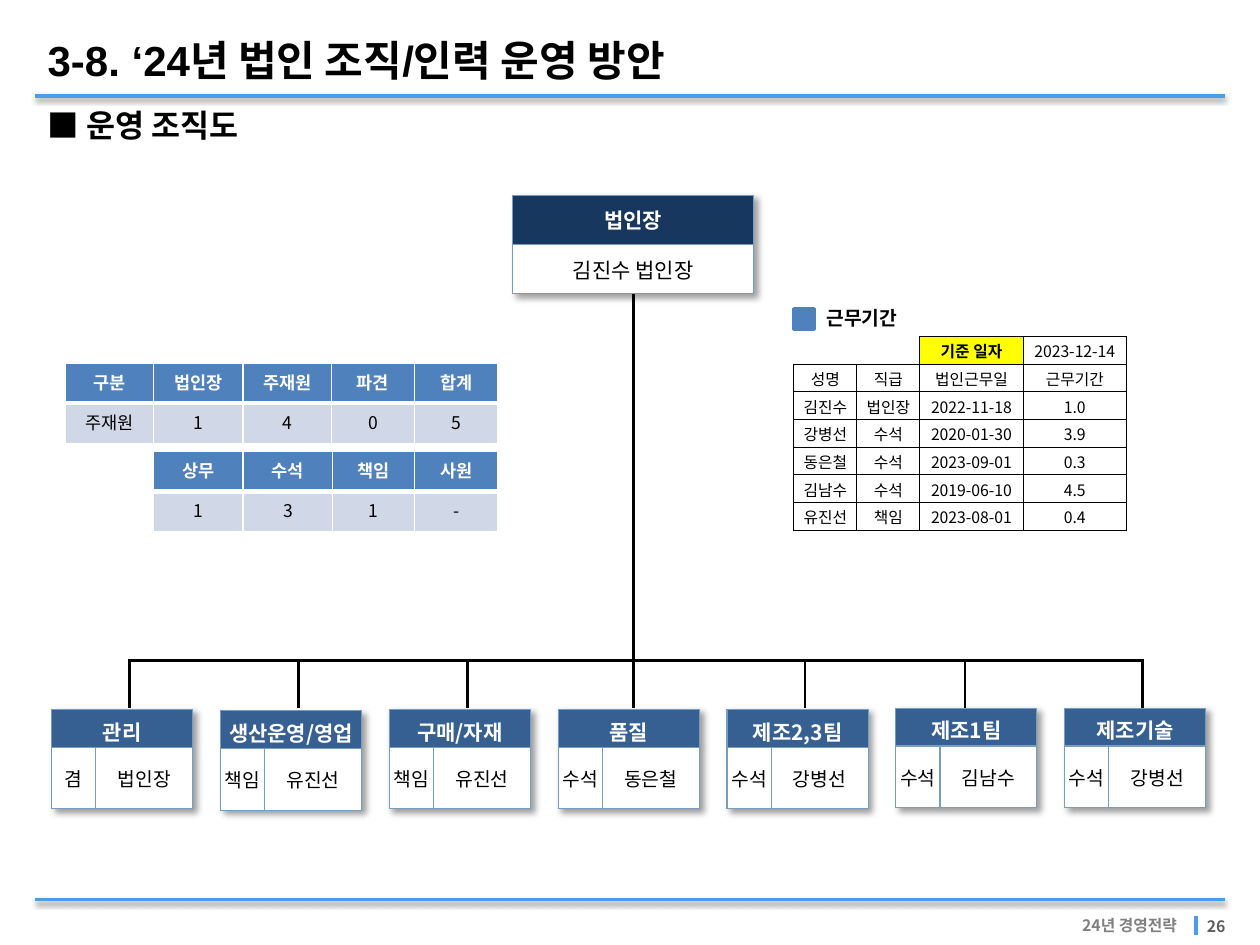
from dataclasses import dataclass
from typing import Any, Optional

import lxml.etree
import pptx
import pptx.dml.color
import pptx.enum.shapes
import pptx.enum.text
import pptx.oxml.ns
import pptx.util

Inches = pptx.util.Inches
Pt = pptx.util.Pt
qn = pptx.oxml.ns.qn
Align = pptx.enum.text.PP_ALIGN
Anchor = pptx.enum.text.MSO_ANCHOR


@dataclass(frozen=True)
class Theme:
    sans: str = "Arial"
    noto: str = "Noto Sans CJK KR"
    black: str = "000000"
    white: str = "FFFFFF"
    rule: str = "499DE9"
    blue: str = "4F81BD"
    pale: str = "D0D8E8"
    team: str = "376092"
    navy: str = "17375E"
    edge: str = "769EC2"
    mark: str = "FFFF00"
    gray: str = "808080"
    dark: str = "5F5F5F"
    title: float = 24
    head: float = 18
    box: float = 12
    name: float = 11
    stat: float = 10
    small: float = 9


T = Theme()


@dataclass(frozen=True)
class Style:
    size: float
    color: str = T.black
    bold: bool = False
    font: str = T.noto


@dataclass(frozen=True)
class Look:
    """Cell format; insets and edges run left, top, right, bottom."""
    style: Style
    fill: Optional[str] = None
    line: str = T.black
    edges: tuple = (0.5, 0.5, 0.5, 0.5)
    pad: tuple = (0.1, 0.05, 0.1, 0.05)
    anchor: Any = Anchor.MIDDLE


@dataclass(frozen=True)
class Team:
    name: str
    rank: str
    lead: str
    top: float
    drop: float


def assign(item: Any, vals: dict) -> None:
    for key, val in vals.items():
        setattr(item, key, val)


def rgb(code: str) -> Any:
    return pptx.dml.color.RGBColor.from_string(code)


def node(base: Any, tag: str, **attrs: Any) -> Any:
    return lxml.etree.SubElement(base, qn(tag), {k: str(v) for k, v in attrs.items()})


def margins(pad: tuple) -> dict:
    names = ("margin_left", "margin_top", "margin_right", "margin_bottom")
    return dict(zip(names, map(Inches, pad)))


def shade(base: Any, blur: float, dist: float, angle: int) -> None:
    cast = node(base, "a:outerShdw", blurRad=Pt(blur), dist=Pt(dist),
                dir=angle * 60000, algn="tl", rotWithShape=0)
    node(node(cast, "a:srgbClr", val=T.black), "a:alpha", val=38000)


def write(para: Any, text: str, style: Style) -> None:
    if not text:
        node(para._p, "a:endParaRPr", sz=int(style.size * 100))
        return
    run = para.add_run()
    run.text = text
    assign(run.font, {"size": Pt(style.size), "bold": style.bold, "name": style.font})
    run.font.color.rgb = rgb(style.color)
    node(run._r.get_or_add_rPr(), "a:ea", typeface=T.noto)


def label(shapes: Any, at: tuple, text: str, style: Style, pad: tuple = (0.1, 0.05, 0.1, 0.05),
          wrap: bool = True, space: float = 1.0, align: Any = Align.LEFT,
          anchor: Any = Anchor.MIDDLE) -> None:
    frame = shapes.add_textbox(*map(Inches, at)).text_frame
    assign(frame, {"word_wrap": wrap, "vertical_anchor": anchor, **margins(pad)})
    para = frame.paragraphs[0]
    assign(para, {"alignment": align, "line_spacing": space})
    write(para, text, style)


def stroke(shapes: Any, ends: tuple, color: str, width: float, shadow: bool = False) -> None:
    kind = pptx.enum.shapes.MSO_CONNECTOR.STRAIGHT
    line = shapes.add_connector(kind, *map(Inches, ends))
    line.line.color.rgb = rgb(color)
    line.line.width = Pt(width)
    fx = node(line._element.spPr, "a:effectLst")
    if shadow:
        shade(fx, 3.1, 1.6, 90)


def paint(cell: Any, text: str, look: Look) -> None:
    assign(cell, {"vertical_anchor": look.anchor, **margins(look.pad)})
    para = cell.text_frame.paragraphs[0]
    para.alignment = Align.CENTER
    write(para, text, look.style)
    if look.fill:
        cell.fill.solid()
        cell.fill.fore_color.rgb = rgb(look.fill)
    else:
        cell.fill.background()
    left, top, right, base = look.edges
    props = cell._tc.get_or_add_tcPr()
    for i, (side, width) in enumerate(zip("LRTB", (left, right, top, base))):
        edge = node(props, f"a:ln{side}", w=Pt(width))
        if width:
            node(node(edge, "a:solidFill"), "a:srgbClr", val=look.line)
        else:
            node(edge, "a:noFill")
        props.insert(i, edge)


def grid(shapes: Any, at: tuple, cols: tuple, rows: tuple, cells: list,
         shadow: bool = False) -> Any:
    """Draw rows of (text, look) pairs."""
    size = (sum(cols), sum(rows))
    table = shapes.add_table(len(rows), len(cols), *map(Inches, at + size)).table
    assign(table, {"first_row": False, "horz_banding": False})
    for col, width in zip(table.columns, cols):
        col.width = Inches(width)
    for row, tall, line in zip(table.rows, rows, cells):
        row.height = Inches(tall)
        for cell, (text, look) in zip(row.cells, line):
            paint(cell, text, look)
    if shadow:
        props = table._tbl.tblPr
        fx = node(props, "a:effectLst")
        props.insert(0, fx)
        shade(fx, 4, 3, 45)
    return table


# Cell looks
THIN = (0.75,) * 4
SLIM = (0.02, 0.05, 0.02, 0.05)
TIGHT = (0.01, 0.01, 0.01, 0)
STAT = Look(Style(T.stat, T.white, True), T.blue, T.white, (1, 1, 1, 3), anchor=Anchor.TOP)
COUNT = Look(Style(T.stat), T.pale, T.white, (1, 3, 1, 1), anchor=Anchor.TOP)
UNIT = Look(Style(T.box, T.white, True), T.team, T.edge, THIN, SLIM)
RANK = Look(Style(T.name), T.white, T.edge, THIN, SLIM)
LEAD = Look(Style(T.name), T.white, T.edge, THIN, (0.02,) * 4)
CHIEF = Look(Style(T.box, T.white, True, T.sans), T.navy, T.edge, THIN)
HEAD = Look(Style(T.box, font=T.sans), T.white, T.edge, THIN)
TERM = Look(Style(T.small), pad=TIGHT)
BASE = Look(Style(T.small, bold=True), T.mark, pad=TIGHT)
VOID = Look(Style(T.small), edges=(0, 0, 0, 0.5), pad=TIGHT)
VEND = Look(Style(T.small), edges=(0, 0, 0.5, 0.5), pad=TIGHT)

TEAMS = [
    Team("관리", "겸", "법인장", 5.63, 1.03),
    Team("생산운영/영업", "책임", "유진선", 5.64, 2.37),
    Team("구매/자재", "책임", "유진선", 5.63, 3.71),
    Team("품질", "수석", "동은철", 5.63, 5.03),
    Team("제조2,3팀", "수석", "강병선", 5.63, 6.39),
    Team("제조1팀", "수석", "김남수", 5.62, 7.66),
    Team("제조기술", "수석", "강병선", 5.62, 9.07),
]
STATS = [
    ((0.52, 2.88), (0.7, 0.71, 0.7, 0.66, 0.66),
     ("구분", "법인장", "주재원", "파견", "합계"), ("주재원", "1", "4", "0", "5")),
    ((1.22, 3.58), (0.71, 0.71, 0.65, 0.66),
     ("상무", "수석", "책임", "사원"), ("1", "3", "1", "-")),
]
TERMS = [
    ("성명", "직급", "법인근무일", "근무기간"),
    ("김진수", "법인장", "2022-11-18", "1.0"),
    ("강병선", "수석", "2020-01-30", "3.9"),
    ("동은철", "수석", "2023-09-01", "0.3"),
    ("김남수", "수석", "2019-06-10", "4.5"),
    ("유진선", "책임", "2023-08-01", "0.4"),
]


def main() -> None:
    deck = pptx.Presentation()
    assign(deck, {"slide_width": Inches(10), "slide_height": Inches(7.5)})
    shapes = deck.slides.add_slide(deck.slide_layouts[6]).shapes

    # Rules and footer
    for y in (0.76, 7.14):
        stroke(shapes, (9.72, y, 0.28, y), T.rule, 2, True)
    label(shapes, (9.48, 7.27, 0.44, 0.2), "26", Style(T.small, T.dark, True), space=0.6)
    label(shapes, (8.43, 7.22, 1.16, 0.25), "24년 경영전략", Style(T.small, T.gray, True),
          pad=(0, 0.05, 0.25, 0.05), align=Align.RIGHT)
    stroke(shapes, (9.49, 7.27, 9.49, 7.42), T.rule, 2.25)

    # Headings
    for y, text, size in ((0.28, "3-8. ‘24년 법인 조직/인력 운영 방안", T.title),
                          (0.79, "■ 운영 조직도", T.head)):
        label(shapes, (0.28, y, 6.54, 0.45), text, Style(size, bold=True, font=T.sans),
              space=0.85)

    # Tree lines
    tree = shapes.add_group_shape().shapes
    stroke(tree, (1.03, 5.24, 9.07, 5.24), T.black, 1.5)
    stroke(tree, (5.03, 1.94, 5.03, 5.59), T.black, 1.5)
    for team in TEAMS:
        stroke(tree, (team.drop, 5.23, team.drop, 5.62), T.black, 1.5)

    # Head of the company and teams
    grid(shapes, (4.07, 1.55), (1.91,), (0.39, 0.39),
         [[("법인장", CHIEF)], [("김진수 법인장", HEAD)]], True)
    for i, team in enumerate(TEAMS):
        cells = [[(team.name, UNIT), ("", LEAD)], [(team.rank, RANK), (team.lead, LEAD)]]
        table = grid(shapes, (0.41 + 1.34 * i, team.top), (0.35, 0.77), (0.3, 0.49), cells, True)
        table.cell(0, 0).merge(table.cell(0, 1))

    # Head counts
    for at, cols, names, counts in STATS:
        grid(shapes, at, cols, (0.32, 0.32),
             [[(n, STAT) for n in names], [(c, COUNT) for c in counts]])

    # Terms of service
    note = shapes.add_group_shape().shapes
    chip = note.add_shape(pptx.enum.shapes.MSO_SHAPE.RECTANGLE,
                          *map(Inches, (6.3, 2.45, 0.16, 0.16)))
    chip.shadow.inherit = False
    chip.fill.solid()
    chip.fill.fore_color.rgb = chip.line.color.rgb = rgb(T.blue)
    chip.line.width = Pt(2)
    label(note, (6.46, 2.38, 0.82, 0.29), "근무기간", Style(T.name, bold=True, font=T.sans),
          wrap=False, anchor=Anchor.TOP)
    top = [("", VOID), ("", VEND), ("기준 일자", BASE), ("2023-12-14", TERM)]
    grid(shapes, (6.3, 2.67), (0.5, 0.5, 0.82, 0.82), (0.22,) * 7,
         [top] + [[(text, TERM) for text in row] for row in TERMS])

    deck.save("out.pptx")


if __name__ == "__main__":
    main()
